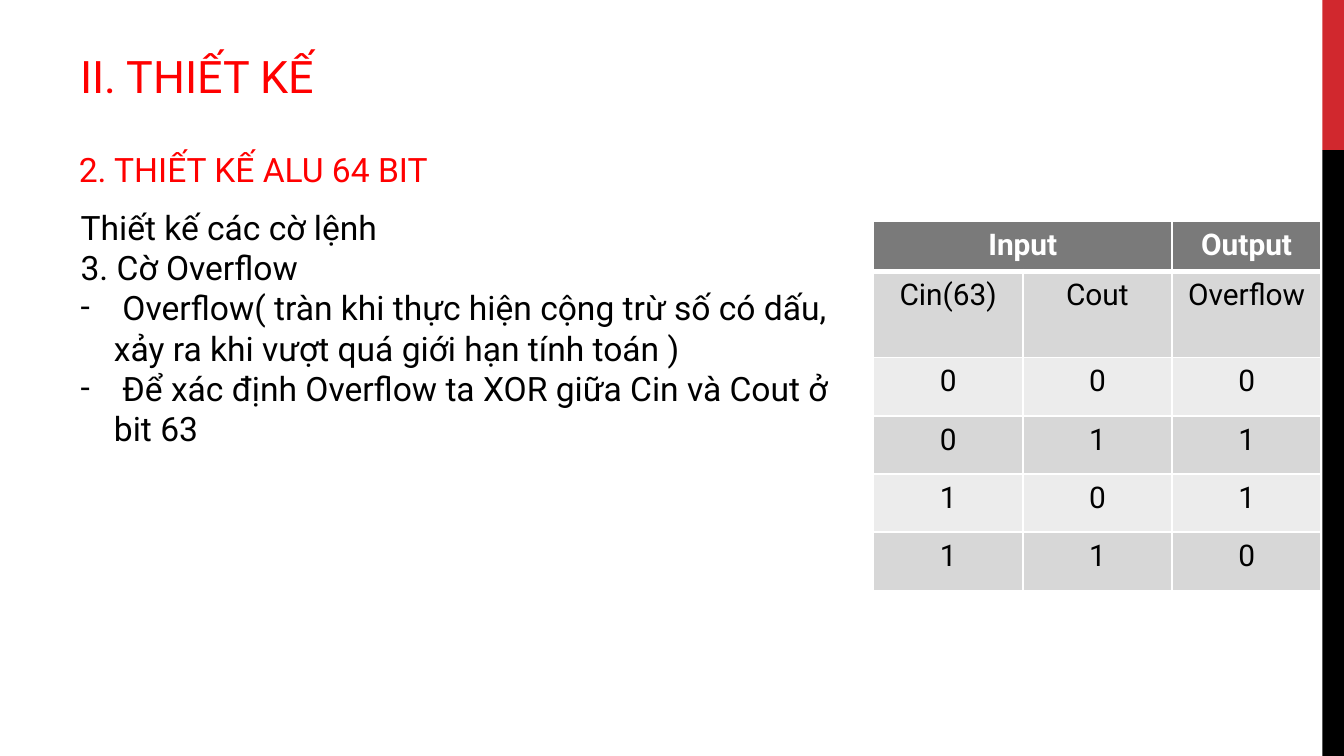
from dataclasses import dataclass

from lxml.etree import SubElement
from pptx import Presentation
from pptx.dml.color import RGBColor
from pptx.enum.shapes import MSO_SHAPE as Shape
from pptx.enum.text import MSO_ANCHOR as Anchor, MSO_AUTO_SIZE as AutoSize, PP_ALIGN as Align
from pptx.oxml.ns import qn
from pptx.util import Cm, Pt

FONT = "Roboto"
RED, BLACK, WHITE = "FF0000", "000000", "FFFFFF"
HEADER, BAND_DARK, BAND_LIGHT = "7A7A7A", "D7D7D7", "ECECEC"


@dataclass
class Box:
    left: float
    top: float
    width: float
    height: float

    def lengths(self) -> tuple:
        return Cm(self.left), Cm(self.top), Cm(self.width), Cm(self.height)


@dataclass
class Line:
    text: str
    margin: float = 0
    bullet: str = ""


BARS = [
    (Box(24.99, 0, 0.41, 2.84), "D1282E"),
    (Box(24.99, 2.84, 0.41, 11.45), BLACK),
]
BODY = [
    Line("Thiết kế các cờ lệnh"),
    Line("3. Cờ Overflow"),
    Line("Overflow( tràn khi thực hiện cộng trừ số có dấu,", 0.79, "-"),
    Line("xảy ra khi vượt quá giới hạn tính toán )", 0.63),
    Line("Để xác định Overflow ta XOR giữa Cin và Cout ở", 0.79, "-"),
    Line("bit 63", 0.63),
]
TRUTH_TABLE = [
    ["Input", "", "Output"],
    ["Cin(63)", "Cout", "Overflow"],
    *[[str(cin), str(cout), str(cin ^ cout)] for cin in (0, 1) for cout in (0, 1)],
]
ROW_HEIGHTS = [0.94, 1.63] + [1.1] * 4
COLUMN_WIDTH = 2.82


def color(value: str) -> RGBColor:
    return RGBColor.from_string(value)


def add_run(p, text: str, size: float, fill: str, bold: bool = False) -> None:
    r = p.add_run()
    r.text = text
    r.font.name = FONT
    r.font.size = Pt(size)
    r.font.bold = bold
    r.font.color.rgb = color(fill)


def add_bar(s, box: Box, fill: str) -> None:
    sp = s.shapes.add_shape(Shape.RECTANGLE, *box.lengths())
    sp.shadow.inherit = False
    sp.fill.solid()
    sp.fill.fore_color.rgb = color(fill)
    sp.line.fill.background()


def fill_text(sp, box: Box, lines: list[Line], size: float, fill: str, wrap: bool) -> None:
    sp.left, sp.top, sp.width, sp.height = box.lengths()
    tf = sp.text_frame
    tf.word_wrap = wrap
    tf.auto_size = AutoSize.SHAPE_TO_FIT_TEXT
    tf.vertical_anchor = Anchor.TOP
    for i, line in enumerate(lines):
        p = tf.paragraphs[0] if i == 0 else tf.add_paragraph()
        p.alignment = Align.LEFT
        p.space_before = Pt(0)
        pPr = p._p.get_or_add_pPr()
        pPr.set("marL", str(Cm(line.margin)))
        pPr.set("indent", str(-Cm(line.margin) if line.bullet else 0))
        if line.bullet:
            SubElement(pPr, qn("a:buFont"), typeface=FONT)
            SubElement(pPr, qn("a:buChar"), char=line.bullet)
        else:
            SubElement(pPr, qn("a:buNone"))
        add_run(p, line.text, size, fill)


def set_borders(cell, top: float, bottom: float) -> None:
    tcPr = cell._tc.get_or_add_tcPr()
    for side, width in (("L", 1), ("R", 1), ("T", top), ("B", bottom)):
        ln = SubElement(tcPr, qn(f"a:ln{side}"), w=str(Pt(width)))
        solid = SubElement(ln, qn("a:solidFill"))
        SubElement(solid, qn("a:srgbClr"), val=WHITE)


def add_truth_table(s, left: float, top: float) -> None:
    columns = len(TRUTH_TABLE[0])
    box = Box(left, top, COLUMN_WIDTH * columns, sum(ROW_HEIGHTS))
    table = s.shapes.add_table(len(TRUTH_TABLE), columns, *box.lengths()).table
    for column in table.columns:
        column.width = Cm(COLUMN_WIDTH)
    table.cell(0, 0).merge(table.cell(0, 1))
    for i, (texts, height) in enumerate(zip(TRUTH_TABLE, ROW_HEIGHTS)):
        table.rows[i].height = Cm(height)
        header = i == 0
        band = HEADER if header else BAND_DARK if i % 2 else BAND_LIGHT
        for j, text in enumerate(texts):
            cell = table.cell(i, j)
            set_borders(cell, 3 if i == 1 else 1, 3 if header else 1)
            cell.fill.solid()
            cell.fill.fore_color.rgb = color(band)
            if text:
                p = cell.text_frame.paragraphs[0]
                p.alignment = Align.CENTER
                add_run(p, text, 16, WHITE if header else BLACK, header)


def main() -> None:
    """Build the slide on the overflow flag of the 64-bit ALU."""
    prs = Presentation()
    prs.slide_width, prs.slide_height = Cm(25.4), Cm(14.29)
    s = prs.slides.add_slide(prs.slide_layouts[1])
    for box, fill in BARS:
        add_bar(s, box, fill)
    subtitle_box = Box(1.24, 2.69, 7.75, 1.02)
    subtitle = s.shapes.add_textbox(*subtitle_box.lengths())
    fill_text(subtitle, subtitle_box, [Line("2. THIẾT KẾ ALU 64 BIT")], 18, RED, False)
    fill_text(s.placeholders[1], Box(1.27, 3.78, 23.7, 4.88), BODY, 18, BLACK, True)
    fill_text(s.shapes.title, Box(1.27, 0.79, 5.44, 1.27), [Line("II. THIẾT KẾ")], 24, RED, False)
    add_truth_table(s, 16.51, 4.19)
    prs.save("out.pptx")


if __name__ == "__main__":
    main()
